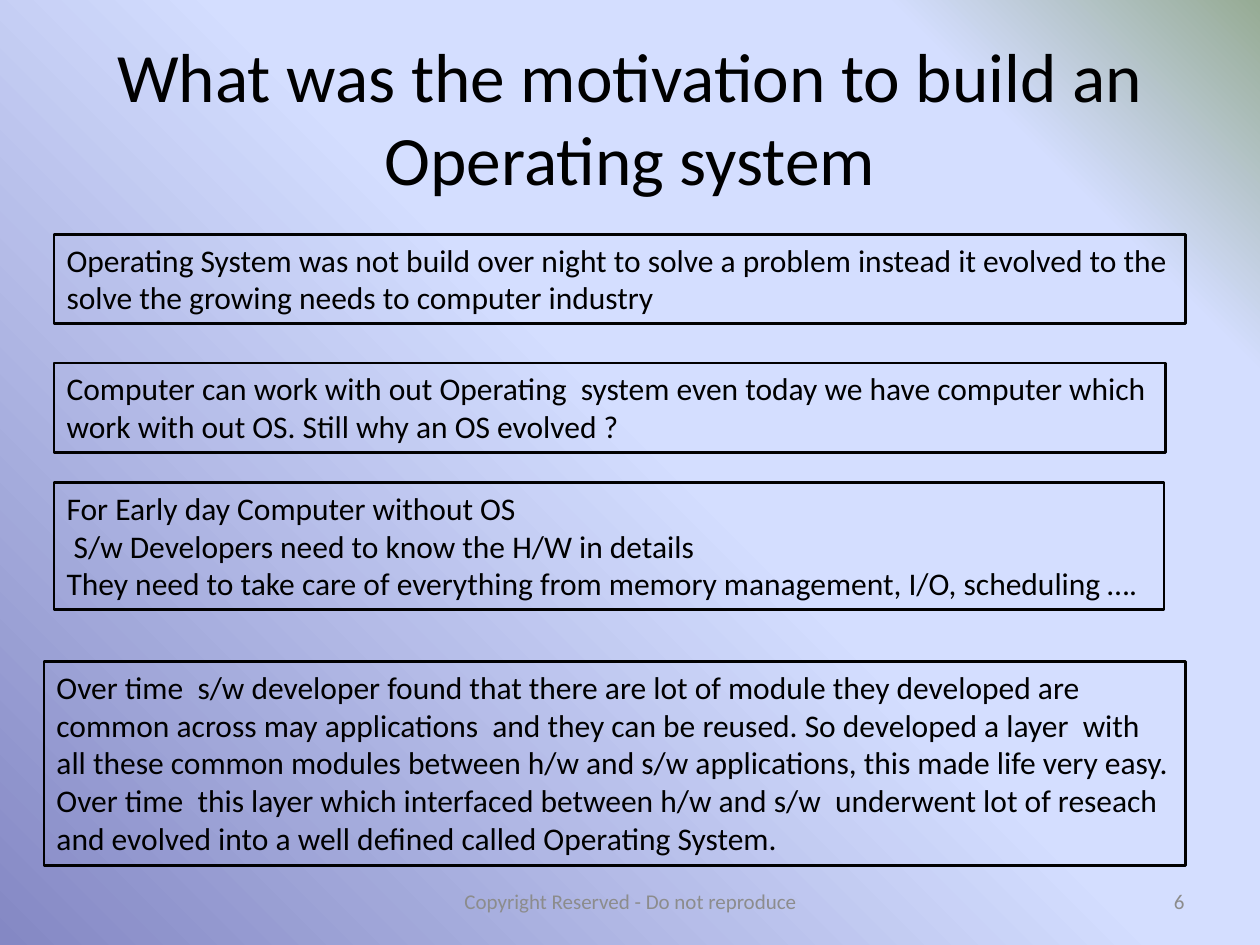
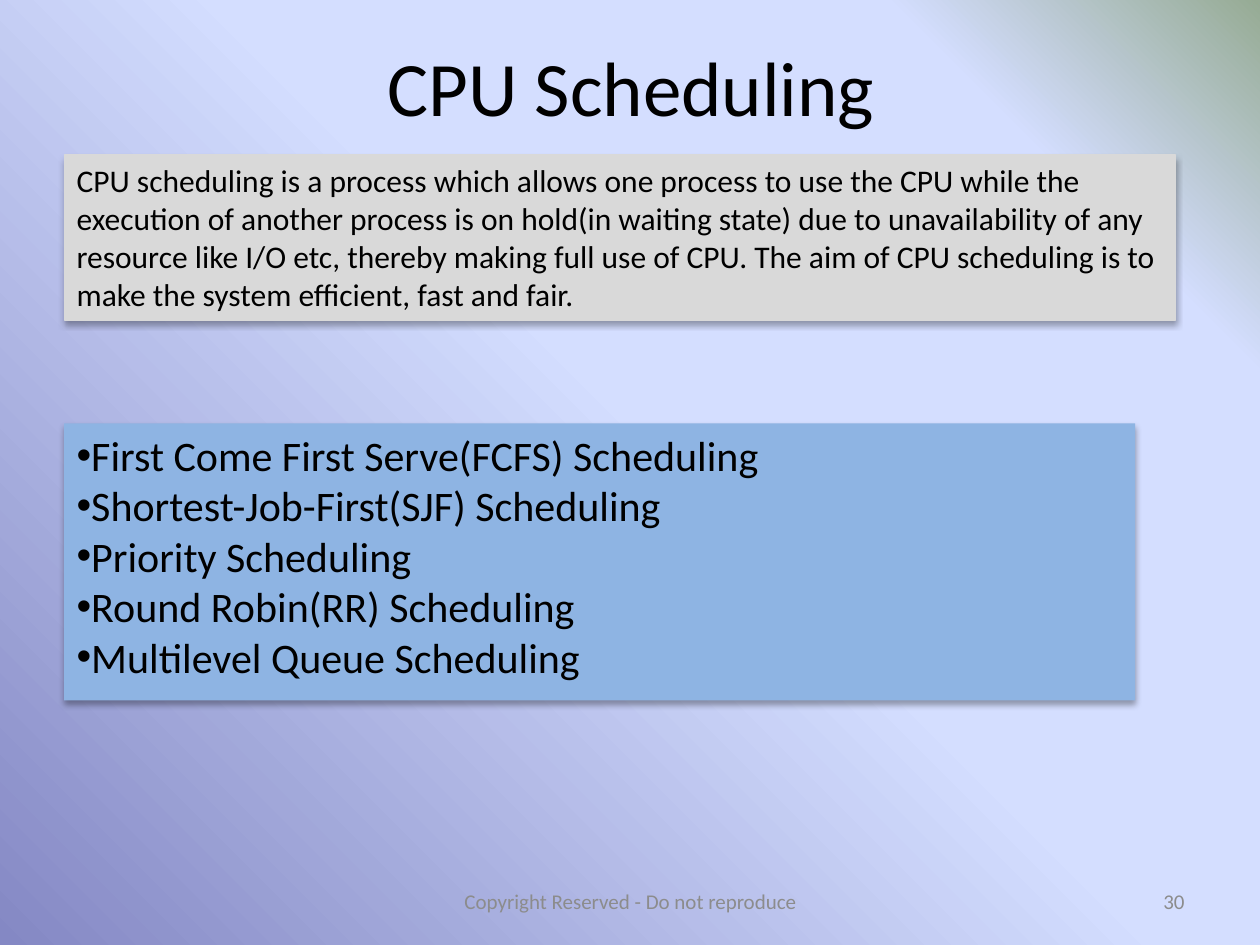
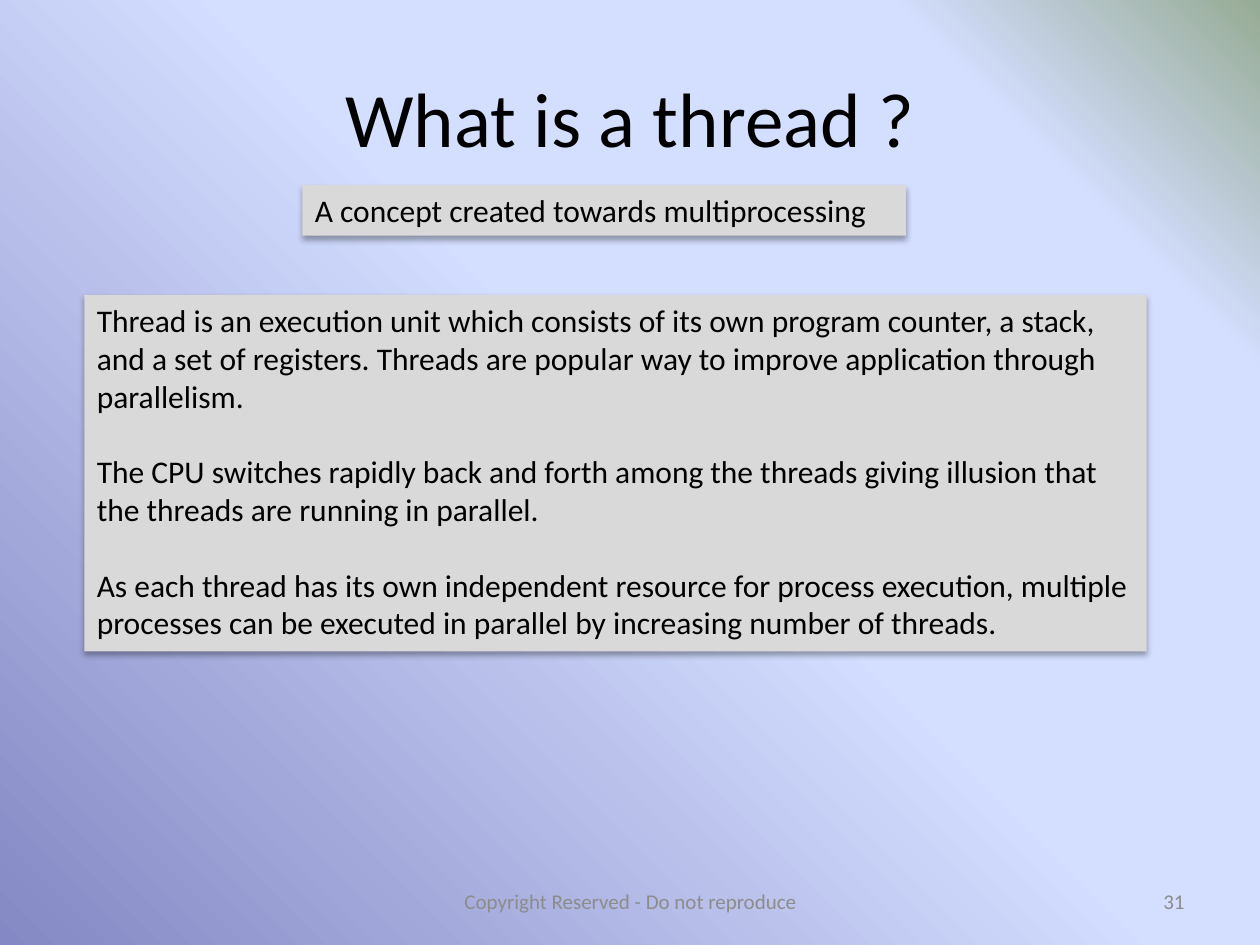
from lxml import etree
from pptx import Presentation
from pptx import util as u
from pptx.dml.color import RGBColor
from pptx.enum import shapes, text
from pptx.oxml.ns import qn

BLACK = RGBColor(0x00, 0x00, 0x00)
FOOTER_GREY = RGBColor(0x8C, 0x8C, 0x8C)
PANEL_GREY = RGBColor(0xD9, 0xD9, 0xD9)
LIST_BLUE = RGBColor(0x8E, 0xB4, 0xE3)
DEEP_BLUE = RGBColor(0x84, 0x88, 0xC4)
PALE_BLUE = RGBColor(0xD4, 0xDE, 0xFF)
SAGE = RGBColor(0x96, 0xAB, 0x94)
BACKDROP = [(0, DEEP_BLUE), (53, PALE_BLUE), (83, PALE_BLUE), (100, SAGE)]

FONT = "Calibri"
FOOTER = "Copyright Reserved - Do not reproduce"
COLUMNS, ROWS = 100, 75
LEFT, CENTER, RIGHT = text.PP_ALIGN.LEFT, text.PP_ALIGN.CENTER, text.PP_ALIGN.RIGHT
TITLE_AREA = (5, 3, 90, 12.5)


def add_color(parent, color, alpha=None):
    clr = etree.SubElement(parent, qn("a:srgbClr"), val=str(color))
    if alpha is not None:
        etree.SubElement(clr, qn("a:alpha"), val=str(alpha * 1000))


class Deck:
    def __init__(self):
        self.prs = Presentation()
        self.prs.slide_width = u.Inches(10)
        self.prs.slide_height = u.Inches(7.5)
        self.s = None
        self.backdrop()

    def backdrop(self):
        master = self.prs.slide_master
        fill = master.background.fill
        fill.gradient()
        fill.gradient_angle = 45
        stops = master.element.find(".//" + qn("a:gsLst"))
        for stop in list(stops):
            stops.remove(stop)
        for share, color in BACKDROP:
            add_color(etree.SubElement(stops, qn("a:gs"), pos=str(share * 1000)), color)

    def area(self, left, top, width, height):
        col, row = self.prs.slide_width / COLUMNS, self.prs.slide_height / ROWS
        return [u.Emu(round(n)) for n in (left * col, top * row, width * col, height * row)]

    def set_text(self, sp, lines, size, color=BLACK, align=LEFT,
                 anchor=text.MSO_ANCHOR.TOP, gap=0, bullets=False):
        tf = sp.text_frame
        tf.word_wrap = True
        tf.vertical_anchor = anchor
        tf.text = "\n".join(lines)
        for i, p in enumerate(tf.paragraphs):
            p.alignment = align
            if gap and i:
                p.space_before = u.Pt(gap)
            if bullets:
                pPr = p._p.get_or_add_pPr()
                etree.SubElement(pPr, qn("a:buFont"), typeface="Arial")
                etree.SubElement(pPr, qn("a:buChar"), char="•")
            for r in p.runs:
                r.font.name = FONT
                r.font.size = u.Pt(size)
                r.font.color.rgb = color

    def label(self, area, words, size, color, align):
        sp = self.s.shapes.add_textbox(*self.area(*area))
        self.set_text(sp, [words], size, color, align, text.MSO_ANCHOR.MIDDLE)

    def slide(self, number, title, title_area=TITLE_AREA, title_size=44):
        self.s = self.prs.slides.add_slide(self.prs.slide_layouts[6])
        self.label(title_area, title, title_size, BLACK, CENTER)
        self.label((34.2, 69.5, 31.7, 4), FOOTER, 12, FOOTER_GREY, CENTER)
        self.label((71.7, 69.5, 23.3, 4), str(number), 12, FOOTER_GREY, RIGHT)

    def box(self, area, lines, size=18, **style):
        sp = self.s.shapes.add_shape(shapes.MSO_SHAPE.RECTANGLE, *self.area(*area))
        sp.shadow.inherit = False
        self.set_text(sp, lines, size, **style)
        return sp

    def outlined(self, area, *lines):
        sp = self.box(area, lines)
        sp.fill.background()
        sp.line.color.rgb = BLACK
        sp.line.width = u.Pt(1.5)

    def panel(self, area, *lines, fill=PANEL_GREY, edge=None, **style):
        sp = self.box(area, lines, **style)
        sp.fill.solid()
        sp.fill.fore_color.rgb = fill
        if edge is None:
            sp.line.fill.background()
        else:
            sp.line.color.rgb = edge
            sp.line.width = u.Pt(0.75)
        effects = sp._element.spPr.find(qn("a:effectLst"))
        shadow = etree.SubElement(effects, qn("a:outerShdw"), blurRad=str(u.Pt(3.5)),
                                  dist=str(u.Pt(2.2)), dir="5400000", rotWithShape="0")
        add_color(shadow, BLACK, alpha=32)


def motivation(deck):
    deck.slide(6, "What was the motivation to build an Operating system", title_size=39.6)
    deck.outlined(
        (4.3, 18.6, 89.8, 7.1),
        "Operating System was not build over night to solve a problem instead it evolved "
        "to the solve the growing needs to computer industry")
    deck.outlined(
        (4.3, 28.8, 88.2, 7.1),
        "Computer can work with out Operating  system even today we have computer which "
        "work with out OS. Still why an OS evolved ?")
    deck.outlined(
        (4.3, 38.3, 88.1, 10.1),
        "For Early day Computer without OS",
        " S/w Developers need to know the H/W in details",
        "They need to take care of everything from memory management, I/O, scheduling ….")
    deck.outlined(
        (3.5, 52.5, 90.6, 16.2),
        "Over time  s/w developer found that there are lot of module they developed are "
        "common across may applications  and they can be reused. So developed a layer  with "
        "all these common modules between h/w and s/w applications, this made life very easy.",
        "Over time  this layer which interfaced between h/w and s/w  underwent lot of reseach "
        "and evolved into a well defined called Operating System.")


def scheduling(deck):
    deck.slide(30, "CPU Scheduling", title_area=(5.1, 2.1, 90, 9.4))
    deck.panel(
        (5.1, 12.3, 88.2, 13.1),
        "CPU scheduling is a process which allows one process to use the CPU while the "
        "execution of another process is on hold(in waiting state) due to unavailability of "
        "any resource like I/O etc, thereby making full use of CPU. The aim of CPU scheduling "
        "is to make the system efficient, fast and fair.",
        edge=PANEL_GREY)
    kinds = ["First Come First Serve(FCFS)", "Shortest-Job-First(SJF)", "Priority",
             "Round Robin(RR)", "Multilevel Queue"]
    deck.panel((5.1, 33.6, 85, 22), *[f"{kind} Scheduling" for kind in kinds],
               fill=LIST_BLUE, size=24, bullets=True)


def thread(deck):
    deck.slide(31, "What is a thread ?")
    deck.panel(
        (6.7, 23.4, 84.3, 28.3),
        "Thread is an execution unit which consists of its own program counter, a stack, and "
        "a set of registers. Threads are popular way to improve application through "
        "parallelism.",
        "The CPU switches rapidly back and forth among the threads giving illusion that the "
        "threads are running in parallel.",
        "As each thread has its own independent resource for process execution, multiple "
        "processes can be executed in parallel by increasing number of threads.",
        gap=21.6)
    deck.panel((24, 14.7, 47.9, 4), "A concept created towards multiprocessing")


def main():
    deck = Deck()
    for build in (motivation, scheduling, thread):
        build(deck)
    deck.prs.save("out.pptx")


if __name__ == "__main__":
    main()
